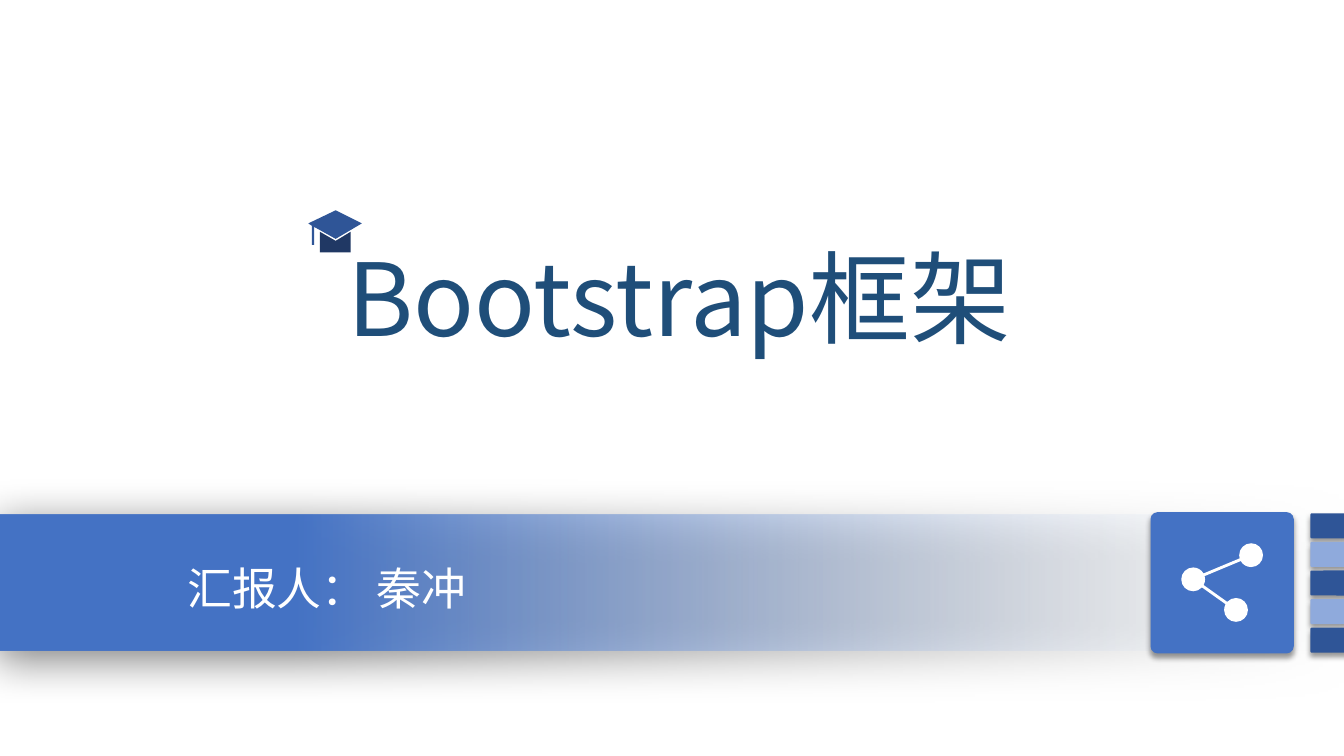
import math

from lxml import etree
from pptx import Presentation
from pptx import util as u
from pptx.dml.color import RGBColor
from pptx.enum import shapes, text
from pptx.oxml import ns

COLORS = {
    "blue": "4472C4", "dark": "2F5597", "light": "8FAADC", "navy": "203864",
    "title": "1F4E79", "pale": "F7FAFD", "white": "FFFFFF", "black": "000000",
}


class Cover:
    font = "Noto Sans CJK SC"

    def __init__(self, prs):
        self.s = prs.slides.add_slide(prs.slide_layouts[6])

    def color(self, name):
        return RGBColor.from_string(COLORS[name])

    def paint(self, sp, fill):
        sp.shadow.inherit = False
        sp.fill.solid()
        sp.fill.fore_color.rgb = self.color(fill)
        sp.line.fill.background()
        return sp

    def shadow(self, sp, alpha, blur, dist, angle):
        """Outer shadow: alpha in percent, blur and dist in points, angle in degrees."""
        effects = sp._element.spPr.find(ns.qn("a:effectLst"))
        outer = etree.SubElement(
            effects, ns.qn("a:outerShdw"), blurRad=str(u.Pt(blur)),
            dist=str(u.Pt(dist)), dir=str(angle * 60000), algn="ctr", rotWithShape="0")
        clr = etree.SubElement(outer, ns.qn("a:srgbClr"), val=COLORS["black"])
        etree.SubElement(clr, ns.qn("a:alpha"), val=str(alpha * 1000))

    def band(self, x, y, w, h):
        """Rectangle that fades from blue on the left to clear on the right."""
        sp = self.s.shapes.add_shape(
            shapes.MSO_SHAPE.RECTANGLE, u.Cm(x), u.Cm(y), u.Cm(w), u.Cm(h))
        self.paint(sp, "blue")
        sp.fill.gradient()
        sp.fill.gradient_angle = 180
        for stop, name, pos in zip(sp.fill.gradient_stops, ("pale", "blue"), (0, 0.78)):
            stop.color.rgb = self.color(name)
            stop.position = pos
        clear = sp._element.spPr.find(".//" + ns.qn("a:srgbClr"))
        etree.SubElement(clear, ns.qn("a:alpha"), val="0")
        self.shadow(sp, 50, 31, 6, 97)

    def tile(self, x, y, w, h, fill):
        sp = self.s.shapes.add_shape(
            shapes.MSO_SHAPE.ROUNDED_RECTANGLE, u.Cm(x), u.Cm(y), u.Cm(w), u.Cm(h))
        sp.adjustments[0] = 0.05
        sp.rotation = 270
        self.paint(sp, fill)
        self.shadow(sp, 40, 4, 3, 90)

    def outline(self, points, fill):
        pts = [(u.Cm(x), u.Cm(y)) for x, y in points]
        builder = self.s.shapes.build_freeform(*pts[0])
        builder.add_line_segments(pts[1:], close=True)
        return self.paint(builder.convert_to_shape(), fill)

    def curved_outline(self, arcs, fill):
        """Arcs joined by straight lines; each arc is a start and cubic triples."""
        sp = self.outline([pt for arc_pts in arcs for pt in arc_pts], fill)
        steps = list(sp._element.spPr.find(".//" + ns.qn("a:path")))
        first = 0
        for arc_pts in arcs:
            for i in range(first + 1, first + len(arc_pts), 3):
                curve = etree.Element(ns.qn("a:cubicBezTo"))
                steps[i].addprevious(curve)
                for step in steps[i:i + 3]:
                    curve.append(step[0])
                    step.getparent().remove(step)
            first += len(arc_pts)

    def label(self, x, y, w, h, words, size, fill, align):
        box = self.s.shapes.add_textbox(u.Cm(x), u.Cm(y), u.Cm(w), u.Cm(h))
        tf = box.text_frame
        tf.word_wrap = True
        p = tf.paragraphs[0]
        p.alignment = align
        r = p.add_run()
        r.text = words
        r.font.size = u.Pt(size)
        r.font.name = self.font
        r.font.color.rgb = self.color(fill)
        etree.SubElement(r.font._element, ns.qn("a:ea"), typeface=self.font)


def arc(center, radius, start, end):
    """Cubic points of a clockwise arc, split at each quarter turn (degrees)."""
    quarters = range(math.floor(start / 90) * 90 + 90, math.ceil(end), 90)
    angles = [math.radians(a) for a in (start, *quarters, end)]

    def place(angle, tangent):
        cos, sin = math.cos(angle), math.sin(angle)
        return (center[0] + radius * (cos - tangent * sin),
                center[1] + radius * (sin + tangent * cos))

    points = [place(angles[0], 0)]
    for a, b in zip(angles, angles[1:]):
        pull = 4 / 3 * math.tan((b - a) / 4)
        points += [place(a, pull), place(b, -pull), place(b, 0)]
    return points


def share_arcs(hub, upper, lower, radius=0.3, gap=7):
    """Arcs round three nodes, open where the two links meet them."""
    up, down = (math.degrees(math.atan2(n[1] - hub[1], n[0] - hub[0]))
                for n in (upper, lower))
    return [arc(upper, radius, up + 180 + gap, up + 540 - gap),
            arc(hub, radius, up + gap, down - gap),
            arc(lower, radius, down + 180 + gap, down + 540 - gap),
            arc(hub, radius, down + gap, up + 360 - gap)]


def main():
    prs = Presentation()
    prs.slide_width, prs.slide_height = u.Cm(33.87), u.Cm(19.05)
    cover = Cover(prs)

    cover.band(-0.03, 12.97, 33.87, 3.43)
    for i in range(5):
        cover.tile(33.22, 12.74 + 0.72 * i, 0.63, 1.02, ("dark", "light")[i % 2])

    cap_board = [(8.46, 5.3), (9.12, 5.63), (8.46, 6.02), (7.92, 5.72),
                 (7.92, 6.17), (7.86, 6.17), (7.86, 5.69), (7.77, 5.63)]
    cap_base = [(8.06, 5.84), (8.46, 6.07), (8.84, 5.84), (8.84, 6.36), (8.06, 6.36)]
    cover.outline(cap_board, "dark")
    cover.outline(cap_base, "navy")

    cover.label(4.47, 14, 22.83, 1.63, "汇报人： 秦冲", 32, "white",
                text.PP_ALIGN.LEFT)
    cover.tile(29.02, 12.88, 3.56, 3.61, "blue")
    cover.curved_outline(
        share_arcs((30.07, 14.6), (31.53, 13.99), (31.15, 15.37)), "white")
    cover.label(5.24, 5.81, 23.75, 3.33, "Bootstrap框架", 72, "title",
                text.PP_ALIGN.CENTER)

    prs.save("out.pptx")


if __name__ == "__main__":
    main()
